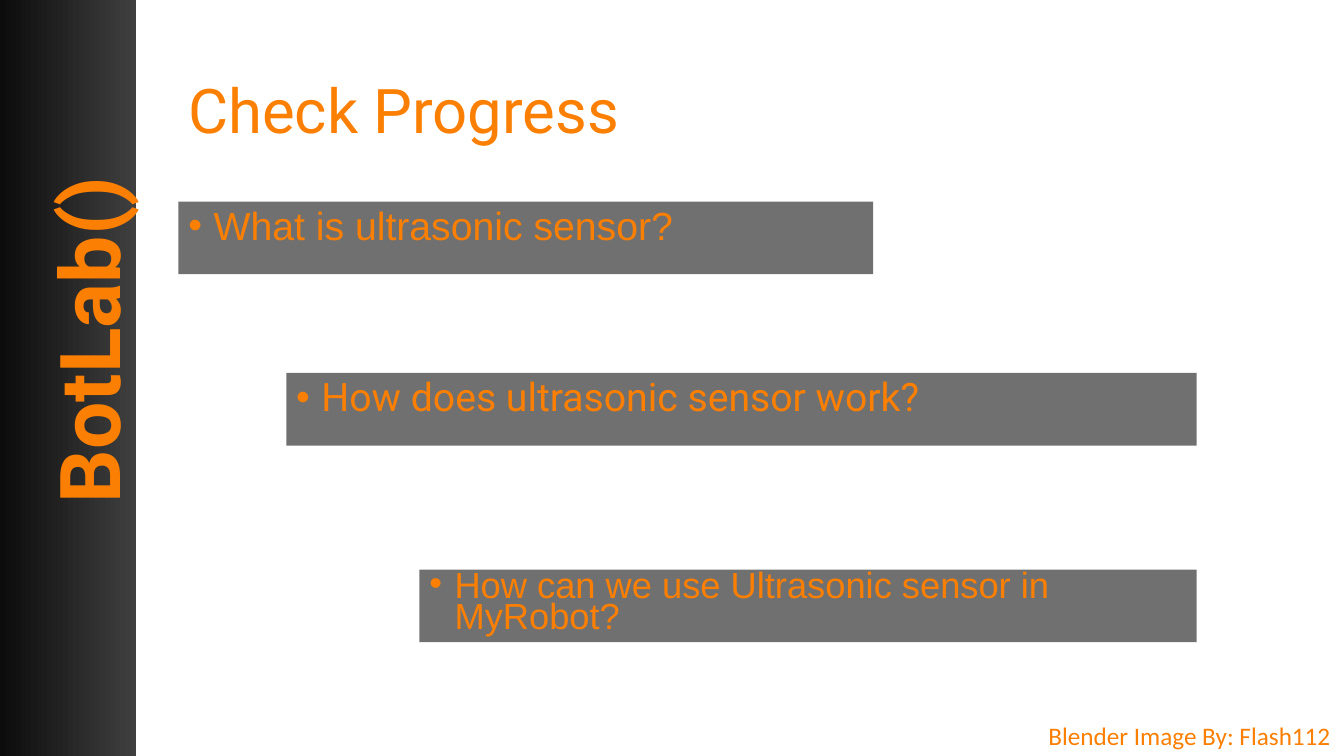
from lxml import etree
from pptx import Presentation
from pptx.dml.color import RGBColor
from pptx.enum.shapes import MSO_SHAPE
from pptx.enum.text import MSO_ANCHOR, PP_ALIGN
from pptx.oxml.ns import qn
from pptx.util import Inches, Pt

RECTANGLE = MSO_SHAPE.RECTANGLE
TOP, MIDDLE = MSO_ANCHOR.TOP, MSO_ANCHOR.MIDDLE
LEFT = PP_ALIGN.LEFT
COLORS = {
    "orange": "FB7F03",
    "band": "000000",
    "sidebar_start": "0C0C0C",
    "sidebar_end": "3F3F3F",
}
BAND_OPACITY = 56
BAND_HEIGHT = 0.72
INDENT = 0.25
QUESTIONS = [
    ("What is ultrasonic sensor?", 1.77, 2, 6.89, "Arial", 28, 0.9),
    ("How does ultrasonic sensor work?", 2.84, 3.7, 9.03, "Roboto", 28, 0.9),
    ("How can we use Ultrasonic sensor in MyRobot?", 4.16, 5.65, 7.71, "Arial", 25.9, 0.7),
]


def rgb(name):
    return RGBColor.from_string(COLORS[name])


def write(holder, text, font, size, spacing=1.0, bold=False, anchor=TOP, wrap=True):
    frame = holder.text_frame
    frame.word_wrap = wrap
    frame.vertical_anchor = anchor
    paragraph = frame.paragraphs[0]
    paragraph.text = text
    paragraph.alignment = LEFT
    paragraph.line_spacing = spacing
    paragraph.font.name = font
    paragraph.font.size = Pt(size)
    paragraph.font.bold = bold
    paragraph.font.color.rgb = rgb("orange")


def add_label(slide, box, text, font, size, rotation=0, **style):
    label = slide.shapes.add_textbox(*map(Inches, box))
    label.rotation = rotation
    write(label, text, font, size, **style)


def add_rectangle(slide, box):
    rectangle = slide.shapes.add_shape(RECTANGLE, *map(Inches, box))
    rectangle.shadow.inherit = False
    rectangle.line.fill.background()
    return rectangle


def add_sidebar(slide):
    sidebar = add_rectangle(slide, (0, 0, 1.35, 7.5))
    sidebar.fill.gradient()
    sidebar.fill.gradient_angle = 0
    for stop, name in zip(sidebar.fill.gradient_stops, ("sidebar_start", "sidebar_end")):
        stop.color.rgb = rgb(name)


def add_bullet(paragraph):
    properties = paragraph._p.get_or_add_pPr()
    properties.set("marL", str(Inches(INDENT)))
    properties.set("indent", str(Inches(-INDENT)))
    bullet_color = etree.SubElement(properties, qn("a:buClr"))
    etree.SubElement(bullet_color, qn("a:srgbClr"), val=COLORS["orange"])
    etree.SubElement(properties, qn("a:buFont"), typeface="Arial")
    etree.SubElement(properties, qn("a:buChar"), char="•")


def add_question(slide, text, left, top, width, font, size, spacing):
    band = add_rectangle(slide, (left, top, width, BAND_HEIGHT))
    band.fill.solid()
    band.fill.fore_color.rgb = rgb("band")
    band_color = band._element.spPr.find(qn("a:solidFill")).find(qn("a:srgbClr"))
    etree.SubElement(band_color, qn("a:alpha"), val=str(BAND_OPACITY * 1000))
    add_bullet(band.text_frame.paragraphs[0])
    write(band, text, font, size, spacing)


def main():
    deck = Presentation()
    deck.slide_width = Inches(13.33)
    deck.slide_height = Inches(7.5)
    slide = deck.slides.add_slide(deck.slide_layouts[6])
    add_sidebar(slide)
    add_label(slide, (-1.27, 2.4, 4.27, 1.11), "BotLab()", "Roboto", 60, rotation=270, bold=True)
    add_label(slide, (10.3, 7.1, 3.03, 0.4), "Blender Image By: Flash112", "Calibri", 18, wrap=False)
    add_label(slide, (1.77, 0.4, 10.64, 1.45), "Check Progress", "Roboto", 44, spacing=0.9, anchor=MIDDLE)
    for question in QUESTIONS:
        add_question(slide, *question)
    deck.save("out.pptx")


if __name__ == "__main__":
    main()
